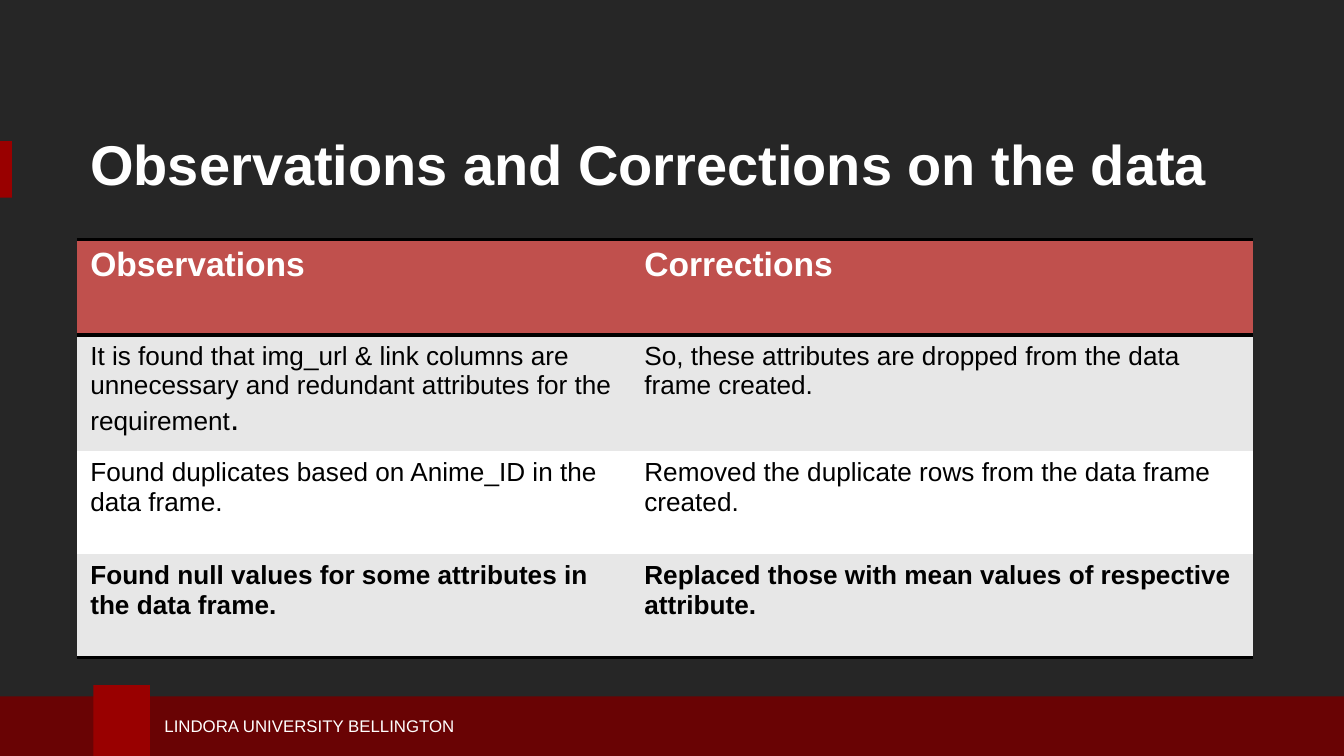
from lxml.etree import SubElement
from pptx import Presentation
from pptx.dml.color import RGBColor
from pptx.enum.shapes import MSO_SHAPE
from pptx.enum.text import MSO_ANCHOR, PP_ALIGN
from pptx.oxml.ns import qn
from pptx.util import Pt

# Content
TITLE = "Observations and Corrections on the data"
FOOTER = "LINDORA UNIVERSITY BELLINGTON"
# Each cell is a list of runs: (text, size)
ROWS = [
    ([("Observations", 18)], [("Corrections", 18)]),
    ([("It is found that img_url & link columns are unnecessary and "
       "redundant attributes for the requirement", 14), (".", 18)],
     [("So, these attributes are dropped from the data frame created.", 14)]),
    ([("Found duplicates based on Anime_ID in the data frame.", 14)],
     [("Removed the duplicate rows from the data frame created.", 14)]),
    ([("Found null values for some attributes in the data frame.", 14)],
     [("Replaced those with mean values of respective attribute.", 14)]),
]

# Style
FONT = "Arial"
BACKGROUND = RGBColor(0x26, 0x26, 0x26)
CRIMSON = RGBColor(0x99, 0x00, 0x00)
DARK_RED = RGBColor(0x69, 0x03, 0x04)
HEADER_RED = RGBColor(0xC0, 0x50, 0x4D)
BAND_GREY = RGBColor(0xE7, 0xE7, 0xE7)
WHITE = RGBColor(0xFF, 0xFF, 0xFF)
BLACK = RGBColor(0x00, 0x00, 0x00)

# Layout, in points
SLIDE_W, SLIDE_H = 720, 405
LEFT, CONTENT_W = 41.2, 630
COLUMN_WIDTHS = [296.8, 333.2]
ROW_HEIGHTS = [51, 58.8, 55.2, 55.2]
LAST = len(ROWS) - 1
RULED_LINES = {0, 1, LAST + 1}  # horizontal grid lines drawn in black
BARS = [
    (0, 75.6, 6.4, 30.4, CRIMSON),
    (0, 373, SLIDE_W, SLIDE_H - 373, DARK_RED),
    (50, 367, 30.4, SLIDE_H - 367, CRIMSON),
]


def add_run(paragraph, text, size, color, bold=False):
    run = paragraph.add_run()
    run.text = text
    run.font.name = FONT
    run.font.size = Pt(size)
    run.font.bold = bold
    run.font.color.rgb = color


def set_border(cell, side, ruled):
    line = SubElement(cell._tc.get_or_add_tcPr(), qn("a:ln" + side))
    if ruled:
        line.set("w", str(Pt(2)))
        fill = SubElement(line, qn("a:solidFill"))
        SubElement(fill, qn("a:srgbClr")).set("val", str(BLACK))
    else:
        line.set("w", "0")
        SubElement(line, qn("a:noFill"))


prs = Presentation()
prs.slide_width, prs.slide_height = Pt(SLIDE_W), Pt(SLIDE_H)
slide = prs.slides.add_slide(prs.slide_layouts[5])
slide.background.fill.solid()
slide.background.fill.fore_color.rgb = BACKGROUND

# Accent bars
for x, y, w, h, color in BARS:
    bar = slide.shapes.add_shape(MSO_SHAPE.RECTANGLE, Pt(x), Pt(y), Pt(w), Pt(h))
    bar.shadow.inherit = False
    bar.fill.solid()
    bar.fill.fore_color.rgb = color
    bar.line.fill.background()

# Footer
footer = slide.shapes.add_textbox(Pt(81), Pt(380), Pt(284.4), Pt(18)).text_frame
footer.word_wrap = True
footer.vertical_anchor = MSO_ANCHOR.MIDDLE
add_run(footer.paragraphs[0], FOOTER, 9, WHITE)

# Title
title = slide.shapes.title
title.left, title.top = Pt(LEFT), Pt(59.8)
title.width, title.height = Pt(CONTENT_W), Pt(54.7)
title.text_frame.vertical_anchor = MSO_ANCHOR.MIDDLE
heading = title.text_frame.paragraphs[0]
heading.alignment = PP_ALIGN.LEFT
add_run(heading, TITLE, 30, WHITE, bold=True)

# Table
table = slide.shapes.add_table(
    len(ROWS), len(COLUMN_WIDTHS), Pt(LEFT), Pt(128.4),
    Pt(CONTENT_W), Pt(sum(ROW_HEIGHTS))).table
table.horz_banding = False
for column, width in zip(table.columns, COLUMN_WIDTHS):
    column.width = Pt(width)
for row, height in zip(table.rows, ROW_HEIGHTS):
    row.height = Pt(height)

for r, row_content in enumerate(ROWS):
    is_header = r == 0
    row_fill = HEADER_RED if is_header else BAND_GREY if r % 2 else WHITE
    for c, runs in enumerate(row_content):
        cell = table.cell(r, c)
        for side, ruled in (("L", False), ("R", False),
                            ("T", r in RULED_LINES), ("B", r + 1 in RULED_LINES)):
            set_border(cell, side, ruled)
        cell.fill.solid()
        cell.fill.fore_color.rgb = row_fill
        for text, size in runs:
            add_run(cell.text_frame.paragraphs[0], text, size,
                    WHITE if is_header else BLACK, bold=r in (0, LAST))

prs.save("out.pptx")
